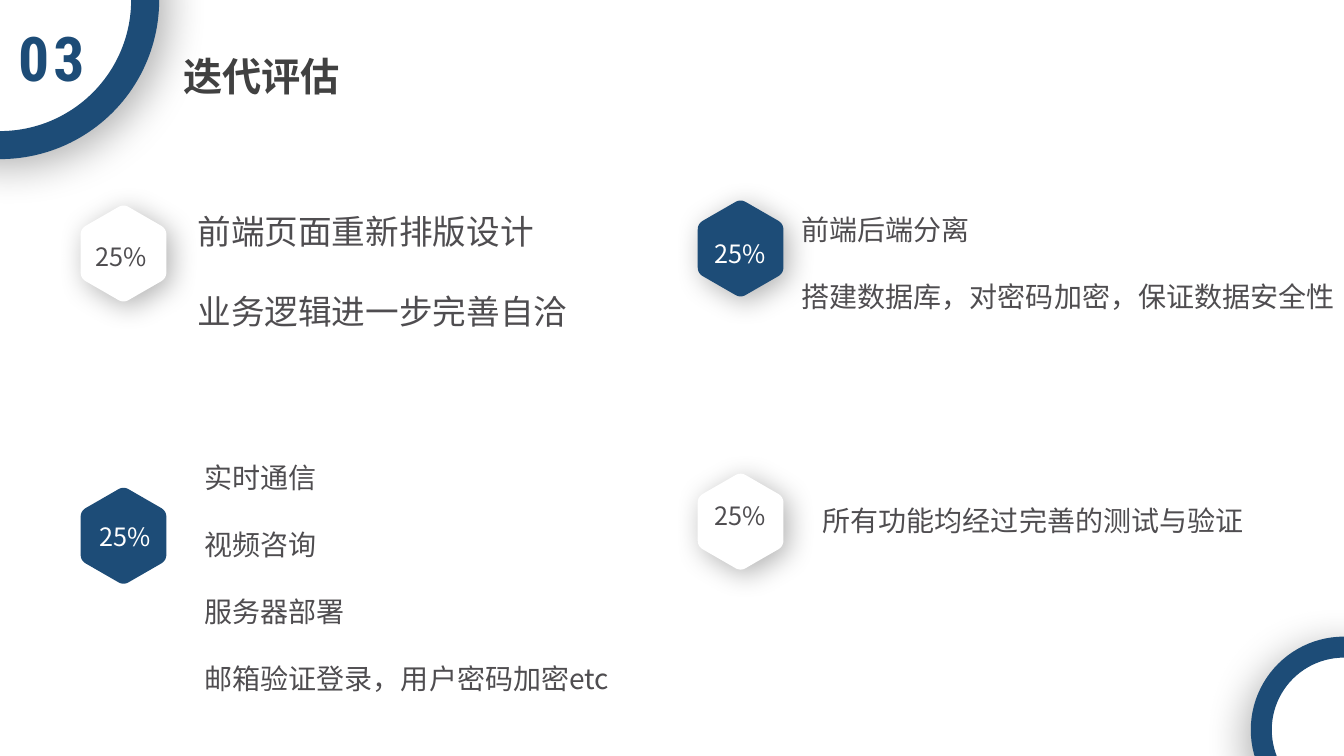
import math

from lxml import etree
from pptx import Presentation
from pptx import util as u
from pptx.dml.color import RGBColor
from pptx.enum import shapes, text
from pptx.oxml import ns

COLORS = {"navy": "1D4C77", "white": "FFFFFF", "gray": "4F4D50",
          "title": "414141", "shadow": "000000"}
CJK = "Noto Sans CJK SC"
HEX_WIDTH, HEX_HEIGHT = 0.85, 0.95


def rgb(name):
    return RGBColor.from_string(COLORS[name])


class Page:
    """Holds the style and the current slide."""

    def __init__(self, deck):
        self.slide = deck.slides.add_slide(deck.slide_layouts[6])

    def shadow(self, shape, blur, distance, angle):
        effects = shape._element.spPr.find(ns.qn("a:effectLst"))
        outer = etree.SubElement(
            effects, ns.qn("a:outerShdw"), blurRad=str(u.Pt(blur)),
            dist=str(u.Pt(distance)), dir=str(angle * 60000),
            algn="ctr", rotWithShape="0")
        color = etree.SubElement(outer, ns.qn("a:srgbClr"), val=COLORS["shadow"])
        etree.SubElement(color, ns.qn("a:alpha"), val="30000")

    def ring(self, left, top, size, width, angle):
        ring = self.slide.shapes.add_shape(
            shapes.MSO_SHAPE.OVAL, u.Inches(left), u.Inches(top),
            u.Inches(size), u.Inches(size))
        ring.fill.solid()
        ring.fill.fore_color.rgb = rgb("white")
        ring.line.color.rgb = rgb("navy")
        ring.line.width = u.Pt(width)
        ring.shadow.inherit = False
        self.shadow(ring, 30, 8, angle)

    def hexagon(self, left, top, fill, shadow=True):
        """Regular hexagon on its point, each corner rounded by a curve."""
        radius, trim, steps = HEX_WIDTH / math.sqrt(3), 0.06, 6
        middle_x, middle_y = left + HEX_WIDTH / 2, top + HEX_HEIGHT / 2
        corners = [(middle_x + radius * math.sin(math.radians(turn)),
                    middle_y - radius * math.cos(math.radians(turn)))
                   for turn in range(0, 360, 60)]
        points = []
        for index, corner in enumerate(corners):
            before, after = corners[index - 1], corners[(index + 1) % 6]
            for step in range(steps + 1):
                t = step / steps
                pull_before = (1 - t) ** 2 * trim / radius
                pull_after = t ** 2 * trim / radius
                points.append(tuple(
                    u.Inches(c + pull_before * (b - c) + pull_after * (a - c))
                    for c, b, a in zip(corner, before, after)))
        builder = self.slide.shapes.build_freeform(*points[0])
        builder.add_line_segments(points[1:], close=True)
        hexagon = builder.convert_to_shape()
        hexagon.fill.solid()
        hexagon.fill.fore_color.rgb = rgb(fill)
        hexagon.line.fill.background()
        hexagon.shadow.inherit = False
        if shadow:
            self.shadow(hexagon, 20, 5, 45)

    def text(self, at, lines, size, color, font=CJK, bold=False, inset=0,
             wrap=True, align=None, spacing=None, tracking=None):
        box = self.slide.shapes.add_textbox(*map(u.Inches, at))
        frame = box.text_frame
        frame.word_wrap = wrap
        frame.auto_size = text.MSO_AUTO_SIZE.SHAPE_TO_FIT_TEXT
        frame.margin_left = frame.margin_right = u.Inches(inset)
        frame.margin_top = frame.margin_bottom = u.Inches(inset / 2)
        frame.text = "\n".join(lines)
        for para in frame.paragraphs:
            para.alignment = align
            para.line_spacing = spacing
            for span in para.runs:
                span.font.size = u.Pt(size)
                span.font.bold = bold
                span.font.color.rgb = rgb(color)
                span.font.name = font
                properties = span.font._element
                etree.SubElement(properties, ns.qn("a:ea"), typeface=CJK)
                if tracking:
                    properties.set("spc", str(tracking * 100))


def main():
    deck = Presentation()
    deck.slide_width, deck.slide_height = u.Inches(13.33), u.Inches(7.5)
    page = Page(deck)
    justify = text.PP_ALIGN.JUSTIFY

    # Hexagon badges: position, fill, label position, label colour, shadow
    badges = [
        ((0.8, 2.04), "white", (0.95, 2.39), "gray", True),
        ((6.92, 1.99), "navy", (7.09, 2.36), "white", True),
        ((0.8, 4.84), "navy", (0.99, 5.17), "white", False),
        ((6.92, 4.7), "white", (7.09, 4.96), "gray", True),
    ]
    for place, fill, label, color, shadow in badges:
        page.hexagon(*place, fill, shadow)
        page.text((*label, 0.52, 0.3), ["25%"], 18, color, wrap=False)

    # Assessment items
    items = [
        ((1.96, 1.69, 4.03, 1.49), 24, justify, 2.0,
         ["前端页面重新排版设计", "业务逻辑进一步完善自洽"]),
        ((7.95, 1.77, 5.61, 1.24), 20, None, 2.0,
         ["前端后端分离", "搭建数据库，对密码加密，保证数据安全性"]),
        ((2.03, 4.23, 4.73, 2.59), 20, justify, 2.0,
         ["实时通信", "视频咨询", "服务器部署", "邮箱验证登录，用户密码加密etc"]),
        ((8.16, 5.05, 4.23, 0.28), 20, justify, u.Pt(20),
         ["所有功能均经过完善的测试与验证"]),
    ]
    for at, size, align, spacing, lines in items:
        page.text(at, lines, size, "gray", align=align, spacing=spacing)

    # Corner rings
    page.ring(-1.44, -1.44, 2.88, 20, 45)
    page.ring(12.51, 6.42, 1.64, 15, 125)

    # Section number and title
    page.text((0, 0.15, 1.02, 0.84), ["03"], 44, "navy", "Roboto Condensed",
              bold=True, inset=0.1, align=text.PP_ALIGN.CENTER, tracking=3)
    page.text((1.72, 0.47, 1.77, 0.57), ["迭代评估"], 28, "title", "Calibri",
              bold=True, inset=0.1, wrap=False)

    deck.save("out.pptx")


if __name__ == "__main__":
    main()
